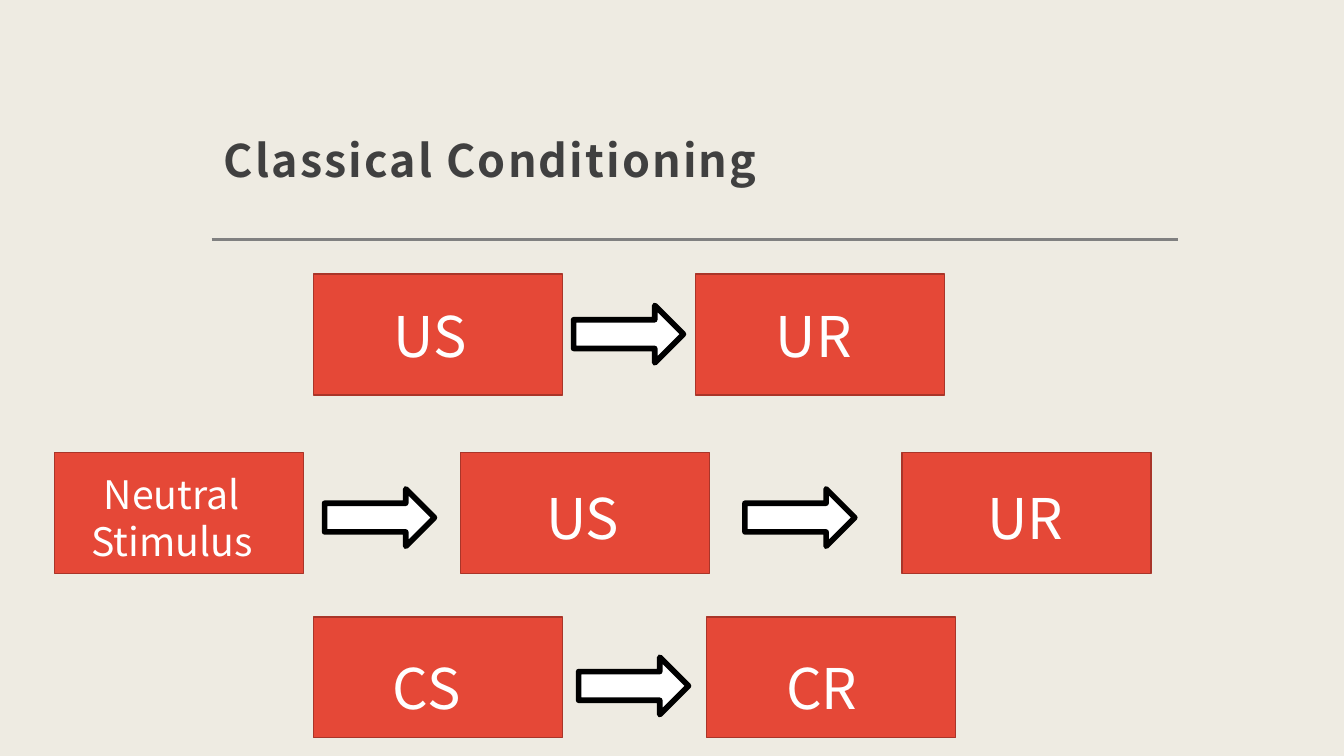
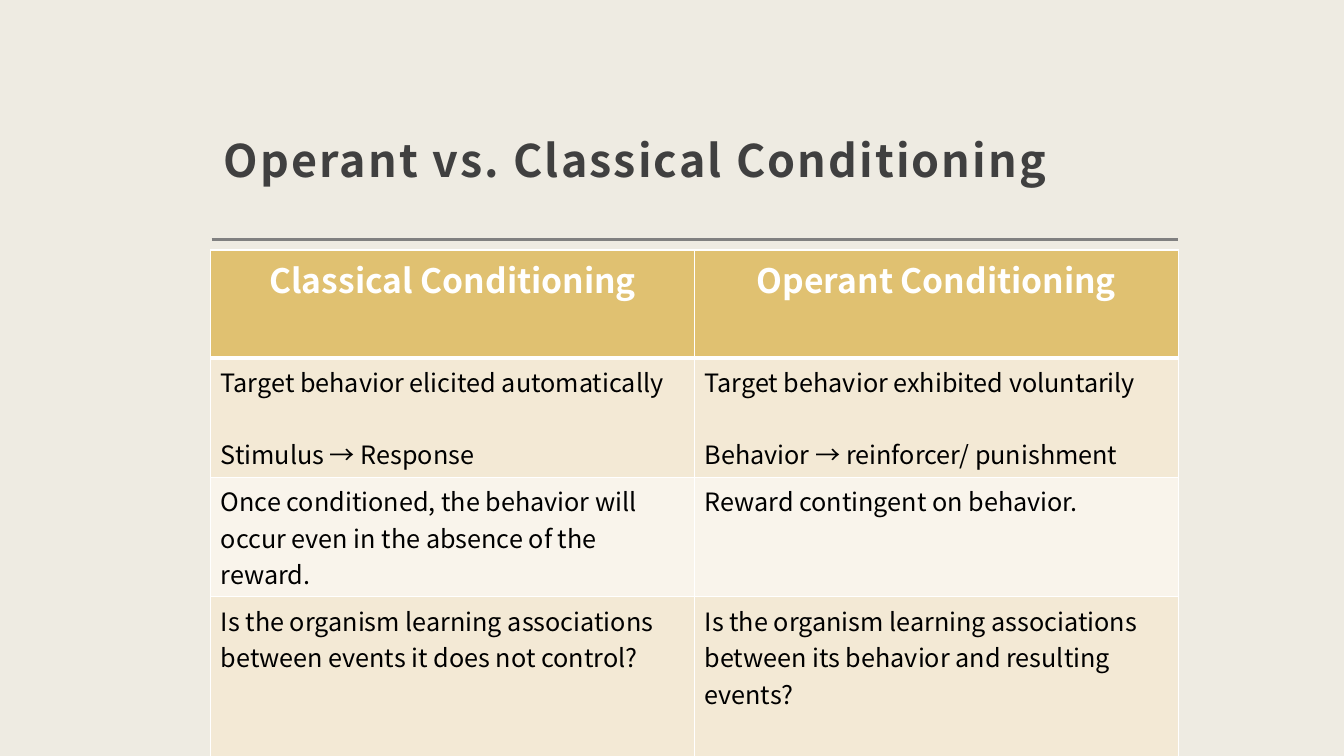
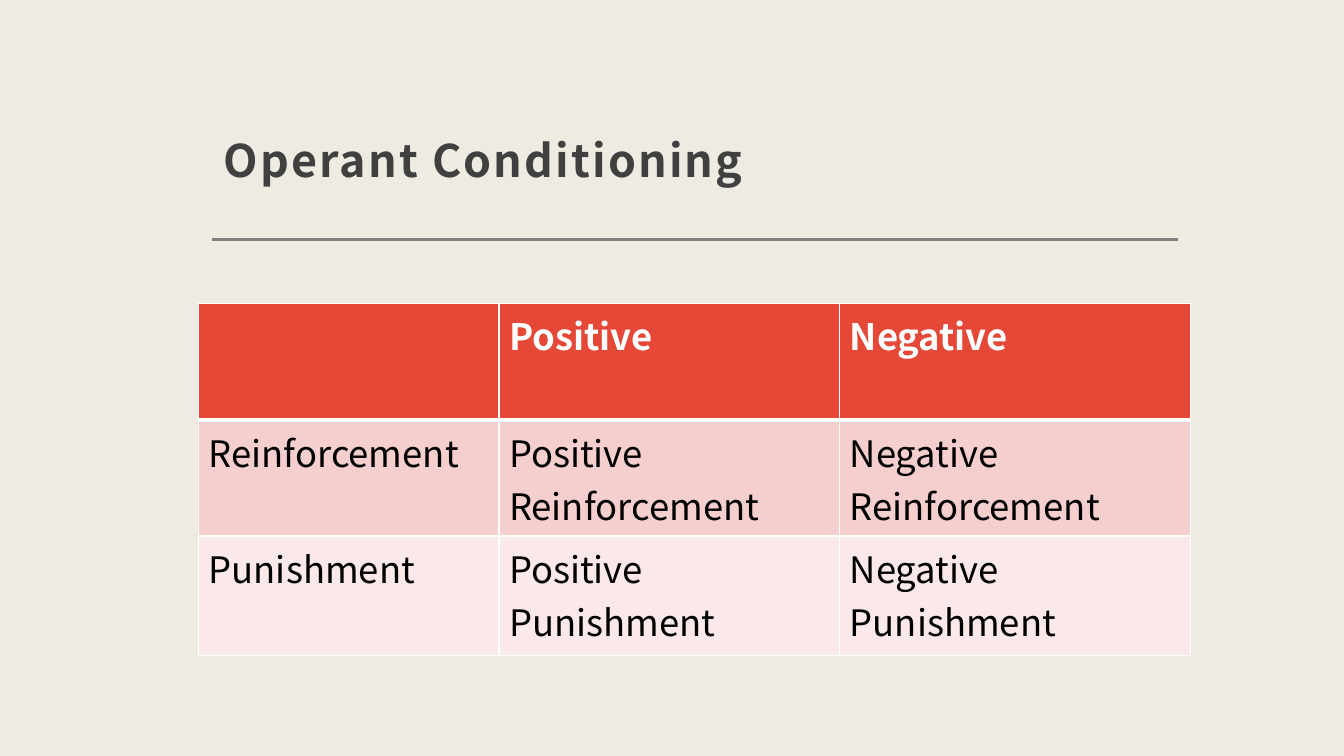
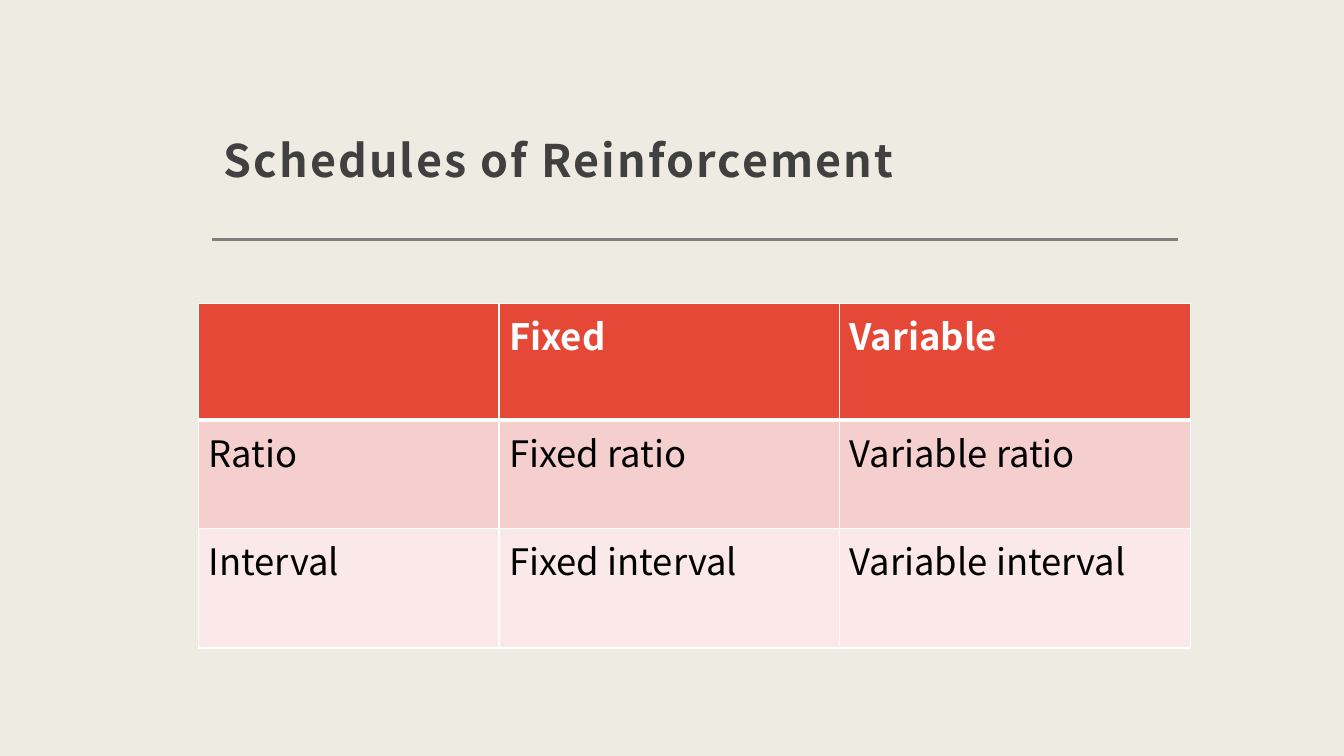
"""Builds four slides on classical and operant conditioning."""
from lxml.etree import SubElement
from pptx import Presentation
from pptx.dml.color import RGBColor
from pptx.enum.shapes import MSO_CONNECTOR as LINE, MSO_SHAPE as SHAPE
from pptx.enum.text import MSO_ANCHOR as ANCHOR, MSO_AUTO_SIZE as FIT, PP_ALIGN as ALIGN
from pptx.oxml.ns import qn
from pptx.util import Inches, Pt

CREAM = RGBColor(0xEE, 0xEB, 0xE2)
GRAY = RGBColor(0x80, 0x80, 0x80)
DARK = RGBColor(0x40, 0x40, 0x40)
BLACK = RGBColor(0, 0, 0)
WHITE = RGBColor(0xFF, 0xFF, 0xFF)
RED = RGBColor(0xE5, 0x48, 0x37)
RED_EDGE = RGBColor(0xA9, 0x35, 0x29)
PINK = RGBColor(0xF5, 0xCF, 0xCE)
PALE_PINK = RGBColor(0xFA, 0xE9, 0xE8)
GOLD = RGBColor(0xE0, 0xC1, 0x71)
SAND = RGBColor(0xF3, 0xE9, 0xD5)
PALE_SAND = RGBColor(0xF9, 0xF4, 0xEB)

FONT = "Noto Sans CJK JP"
COLS, ROWS = 133.33, 75
BOX = (24.7, 12)
ARROW = (10.9, 5.7)
TITLE = (21, 4.8, 95.9, 14.7)
RULE_ROW = 23.8


def grid(*cells):
    """Turns counts of grid cells, ten to the inch, into lengths."""
    return [Inches(n / 10) for n in cells]


class Deck:
    """Holds the shared style and the slide being drawn."""

    def __init__(self):
        self.prs = Presentation()
        self.prs.slide_width, self.prs.slide_height = grid(COLS, ROWS)
        fill = self.prs.slide_master.background.fill
        fill.solid()
        fill.fore_color.rgb = CREAM
        self.s = None

    def add_text(self, p, text, size, color, **fmt):
        r = p.add_run()
        r.text = text
        for key, value in {"name": FONT, "size": Pt(size), **fmt}.items():
            setattr(r.font, key, value)
        r.font.color.rgb = color
        rPr = r.font._element
        SubElement(rPr, qn("a:ea"), typeface=FONT)
        return rPr

    def slide(self, title):
        self.s = self.prs.slides.add_slide(self.prs.slide_layouts[5])
        sp = self.s.shapes.title
        sp.left, sp.top, sp.width, sp.height = grid(*TITLE)
        tf = sp.text_frame
        margin, bottom = grid(1.2, 1)
        frame = {"vertical_anchor": ANCHOR.BOTTOM, "word_wrap": True,
                 "auto_size": FIT.NONE, "margin_left": margin,
                 "margin_top": margin, "margin_right": margin,
                 "margin_bottom": bottom}
        for key, value in frame.items():
            setattr(tf, key, value)
        p = tf.paragraphs[0]
        p.alignment, p.line_spacing = ALIGN.LEFT, 1.3
        self.add_text(p, title, 32, DARK, bold=True).set("spc", "150")
        left, _, width, _ = TITLE
        rule = self.s.shapes.add_connector(
            LINE.STRAIGHT, *grid(left, RULE_ROW, left + width, RULE_ROW))
        rule.line.color.rgb, rule.line.width = GRAY, Pt(2)
        SubElement(rule._element.spPr, qn("a:effectLst"))

    def shape(self, kind, x, y, size, fill, edge, weight):
        sp = self.s.shapes.add_shape(kind, *grid(x, y, *size))
        sp.shadow.inherit = False
        sp.fill.solid()
        sp.fill.fore_color.rgb = fill
        sp.line.color.rgb, sp.line.width = edge, Pt(weight)

    def box(self, x, y):
        self.shape(SHAPE.RECTANGLE, x, y, BOX, RED, RED_EDGE, 1)

    def arrow(self, x, y):
        self.shape(SHAPE.RIGHT_ARROW, x, y, ARROW, WHITE, BLACK, 4)

    def label(self, text, x, y, w=10.6, h=7.7, size=40, align=ALIGN.LEFT):
        tf = self.s.shapes.add_textbox(*grid(x, y, w, h)).text_frame
        tf.word_wrap, tf.auto_size = True, FIT.SHAPE_TO_FIT_TEXT
        p = tf.paragraphs[0]
        p.alignment = align
        self.add_text(p, text, size, WHITE)

    def border(self, cell, **weights):
        tcPr = cell._tc.get_or_add_tcPr()
        for side in "LRTB":
            ln = SubElement(tcPr, qn(f"a:ln{side}"), w=str(Pt(weights.get(side, 1))))
            fill = SubElement(ln, qn("a:solidFill"))
            SubElement(fill, qn("a:srgbClr"), val=str(WHITE))

    def table(self, x, y, widths, heights, texts, head, bands,
              sizes, head_align=ALIGN.LEFT):
        frame = self.s.shapes.add_table(
            len(heights), len(widths), *grid(x, y, sum(widths), sum(heights)))
        tbl = frame.table
        tbl.horz_banding = False
        for col, width in zip(tbl.columns, grid(*widths)):
            col.width = width
        for i, (row, height) in enumerate(zip(tbl.rows, grid(*heights))):
            row.height = height
            is_head = i == 0
            edges = {0: {"B": 3}, 1: {"T": 3}}.get(i, {})
            for cell, text in zip(row.cells, texts[i]):
                self.border(cell, **edges)
                cell.fill.solid()
                cell.fill.fore_color.rgb = head if is_head else bands[(i - 1) % 2]
                self.fill_cell(cell.text_frame, text, sizes[not is_head], is_head,
                               head_align if is_head else ALIGN.LEFT)

    def fill_cell(self, tf, text, size, is_head, align):
        for n, line in enumerate(text.split("\n") if text else []):
            p = tf.add_paragraph() if n else tf.paragraphs[0]
            p.alignment = align
            if n:
                p.space_before = Pt(26)
            self.add_text(p, line, size, WHITE if is_head else BLACK, bold=is_head)


def conditioning(deck):
    """Draws the three stages of classical conditioning."""
    deck.slide("Classical Conditioning")
    stages = [
        (27.2, (7, 2.2), 30.3, [(31.1, "US"), (69, "UR")], [56.9]),
        (44.9, (7.5, 2.6), 48.5, [(5.4, ""), (45.7, "US"), (89.5, "UR")], [32.2, 73.9]),
        (61.2, (6.9, 3.1), 65.2, [(31.1, "CS"), (70.1, "CR")], [57.4]),
    ]
    for y, (dx, dy), arrow_y, boxes, arrows in stages:
        for x, text in boxes:
            deck.box(x, y)
            if text:
                deck.label(text, x + dx, y + dy)
        for x in arrows:
            deck.arrow(x, arrow_y)
    deck.label("Neutral Stimulus", 7.1, 46.2, 19.9, 10.4, 28, ALIGN.CENTER)


def comparison(deck):
    """Compares operant with classical conditioning."""
    deck.slide("Operant vs. Classical Conditioning")
    deck.table(20.9, 24.8, [48, 48], [10.7, 11.4, 11.3, 16.1], [
        ["Classical Conditioning", "Operant Conditioning"],
        ["Target behavior elicited automatically\nStimulus → Response",
         "Target behavior exhibited voluntarily\nBehavior → reinforcer/ punishment"],
        ["Once conditioned, the behavior will occur even in the absence of the reward.",
         "Reward contingent on behavior."],
        ["Is the organism learning associations between events it does not control?",
         "Is the organism learning associations between its behavior and resulting events?"],
    ], GOLD, (SAND, PALE_SAND), (24, 18), ALIGN.CENTER)


def matrix(deck, title, texts):
    """Adds a slide with a three by three table."""
    deck.slide(title)
    deck.table(19.7, 30.1, [29.8, 33.8, 34.8], [11.6, 10.7, 11.9], texts,
               RED, (PINK, PALE_PINK), (26, 26))


def main():
    """Builds and saves the deck."""
    deck = Deck()
    conditioning(deck)
    comparison(deck)
    matrix(deck, "Operant Conditioning", [
        ["", "Positive", "Negative"],
        ["Reinforcement", "Positive Reinforcement", "Negative Reinforcement"],
        ["Punishment", "Positive Punishment", "Negative Punishment"],
    ])
    matrix(deck, "Schedules of Reinforcement", [
        ["", "Fixed", "Variable"],
        ["Ratio", "Fixed ratio", "Variable ratio"],
        ["Interval", "Fixed interval", "Variable interval"],
    ])
    deck.prs.save("out.pptx")


if __name__ == "__main__":
    main()
